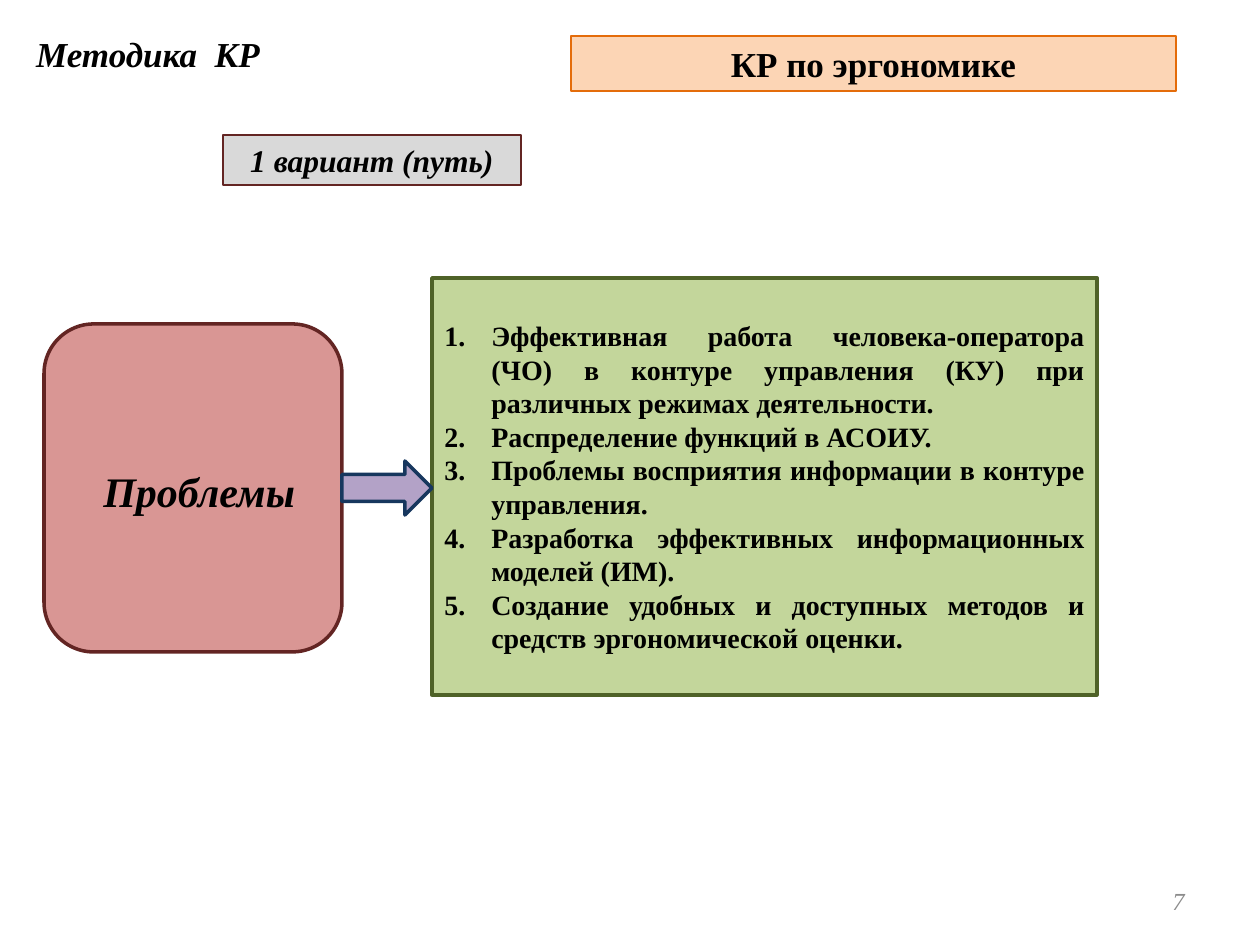
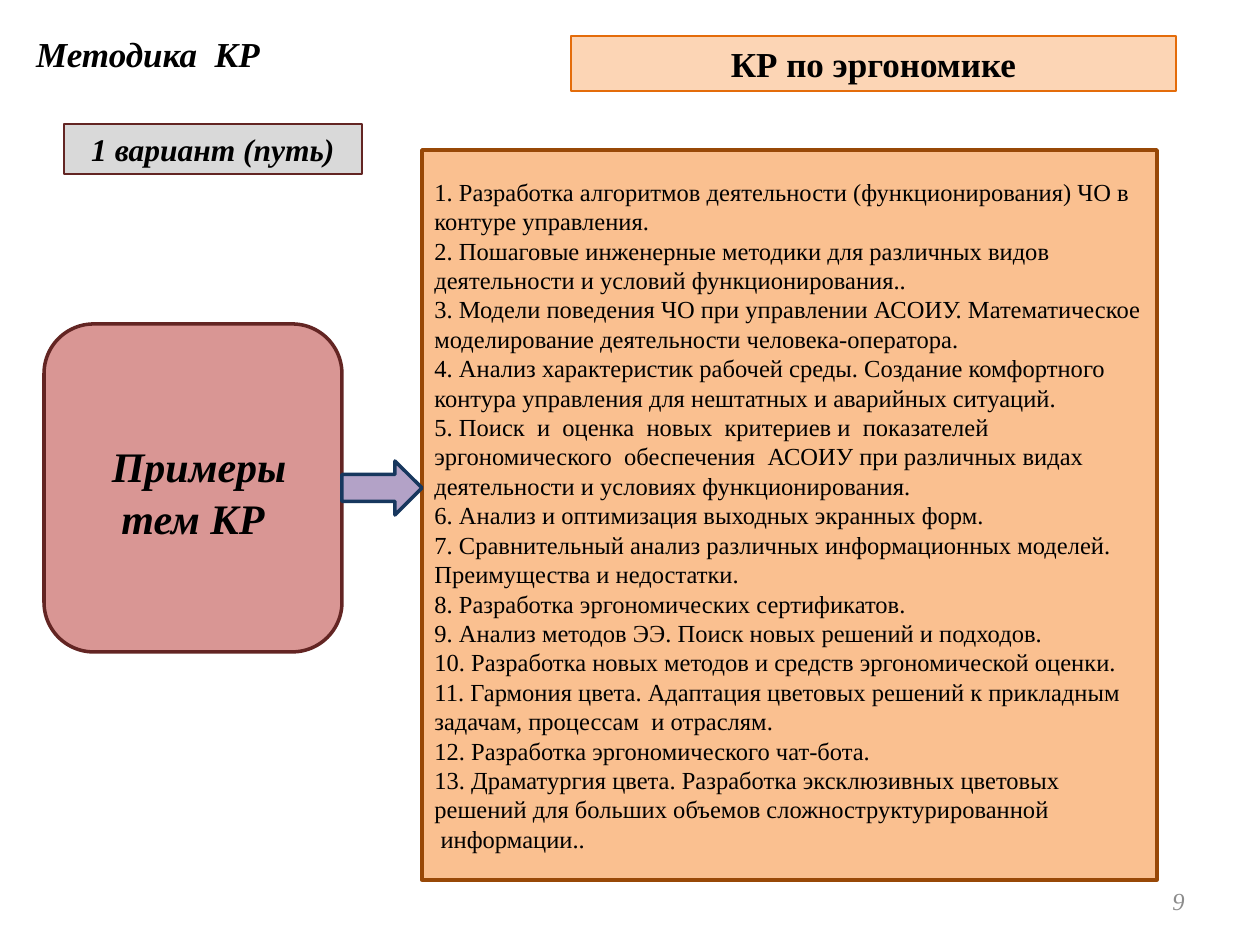
from pptx import Presentation
from pptx.dml.color import RGBColor
from pptx.enum.shapes import MSO_SHAPE as Shape
from pptx.enum.text import MSO_ANCHOR as Anchor, PP_ALIGN as Align
from pptx.util import Emu, Pt
from lxml.etree import SubElement
from pptx.oxml.ns import qn

# Content
HEADING = " Методика  КР"
BAND = "КР по эргономике"
VARIANT = "1 вариант (путь)"

PROBLEMS = [
    "Эффективная работа человека-оператора (ЧО) в контуре управления (КУ) при различных режимах деятельности.",
    "Распределение функций в АСОИУ.",
    "Проблемы восприятия информации в контуре управления.",
    "Разработка эффективных информационных моделей (ИМ).",
    "Создание удобных и доступных методов и средств эргономической оценки.",
]
TOPICS = [
    "1. Разработка алгоритмов деятельности (функционирования) ЧО в контуре управления.",
    "2. Пошаговые инженерные методики для различных видов деятельности и условий функционирования..",
    "3. Модели поведения ЧО при управлении АСОИУ. Математическое моделирование деятельности человека-оператора.",
    "4. Анализ характеристик рабочей среды. Создание комфортного  контура управления для нештатных и аварийных ситуаций.",
    "5. Поиск  и  оценка  новых  критериев и  показателей  эргономического  обеспечения  АСОИУ при различных видах деятельности и условиях функционирования.",
    "6. Анализ и оптимизация выходных экранных форм.",
    "7. Сравнительный анализ различных информационных моделей. Преимущества и недостатки.",
    "8. Разработка эргономических сертификатов.",
    "9. Анализ методов ЭЭ. Поиск новых решений и подходов.",
    "10. Разработка новых методов и средств эргономической оценки.",
    "11. Гармония цвета. Адаптация цветовых решений к прикладным задачам, процессам  и отраслям.",
    "12. Разработка эргономического чат-бота.",
    "13. Драматургия цвета. Разработка эксклюзивных цветовых решений для больших объемов сложноструктурированной",
    " информации..",
]
SLIDES = [
    dict(number="7", subject="Проблемы", variant_at=(223, 135), items=PROBLEMS,
         panel=(432, 278, 665, 417), colors=("green", "dark_green"),
         text=dict(size=16, bold=True, align=Align.JUSTIFY), numbered=True),
    dict(number="9", subject="Примеры тем КР", variant_at=(64, 124), items=TOPICS,
         panel=(422, 150, 735, 730), colors=("orange", "brown"),
         text=dict(size=14), numbered=False),
]

# Shared style
FONT = "Times New Roman"
COLORS = dict(
    black="000000", gray="8C8C8C", light_gray="D9D9D9", rose="D99694", maroon="632523",
    green="C3D69B", dark_green="4F6228", orange="FAC090", brown="984807",
    peach="FCD5B5", amber="E46C0A", violet="B3A2C7", navy="17375E",
)
SUBJECT_BOX = (44, 324, 298, 328)
ARROW_HEIGHT = 54
NUMBER_INDENT = 47


def px(length):
    return Emu(round(length * 914400 / 126))


def color(name):
    return RGBColor.from_string(COLORS[name])


def add_box(page, kind, place, fill, line, width):
    box = page.shapes.add_shape(kind, *map(px, place))
    box.shadow.inherit = False
    box.fill.solid()
    box.fill.fore_color.rgb = color(fill)
    box.line.color.rgb = color(line)
    box.line.width = Pt(width)
    return box


def add_label(page, place):
    return page.shapes.add_textbox(*map(px, place))


def add_span(para, text, size, bold=False, italic=False, ink="black"):
    span = para.add_run()
    span.text = text
    font = span.font
    font.name, font.size, font.bold, font.italic = FONT, Pt(size), bold, italic
    font.color.rgb = color(ink)


def write(box, lines, anchor=Anchor.TOP, align=Align.LEFT, **style):
    """Write one paragraph per line and return the paragraphs."""
    frame = box.text_frame
    frame.word_wrap = True
    frame.vertical_anchor = anchor
    for index, line in enumerate(lines):
        para = frame.add_paragraph() if index else frame.paragraphs[0]
        para.alignment = align
        add_span(para, line, **style)
    return frame.paragraphs


def number_paragraph(para):
    props = para._p.get_or_add_pPr()
    props.set("marL", str(px(NUMBER_INDENT)))
    props.set("indent", str(-px(NUMBER_INDENT)))
    SubElement(props, qn("a:buFont"), typeface="+mj-lt")
    SubElement(props, qn("a:buAutoNum"), type="arabicPeriod")


def add_page(deck, content):
    page = deck.slides.add_slide(deck.slide_layouts[6])

    # Page number
    write(add_label(page, (903, 876, 294, 50)), [content["number"]], Anchor.MIDDLE,
          Align.RIGHT, size=14, italic=True, ink="gray")

    # Subject on the left
    subject = add_box(page, Shape.ROUNDED_RECTANGLE, SUBJECT_BOX, "rose", "maroon", 2)
    para = write(subject, [" "], Anchor.MIDDLE, Align.CENTER,
                 size=28, bold=True, italic=True)[0]
    add_span(para, content["subject"], 24, bold=True, italic=True)

    # Panel with the list
    panel = add_box(page, Shape.RECTANGLE, content["panel"], *content["colors"], 2)
    paras = write(panel, content["items"], Anchor.MIDDLE, **content["text"])
    if content["numbered"]:
        for para in paras:
            number_paragraph(para)

    # Arrow from the subject to the panel
    left, top, width, height = SUBJECT_BOX
    start = left + width
    arrow_top = top + (height - ARROW_HEIGHT) // 2
    add_box(page, Shape.RIGHT_ARROW,
            (start, arrow_top, content["panel"][0] - start, ARROW_HEIGHT),
            "violet", "navy", 2)

    # Heading, band and variant tag
    write(add_label(page, (15, 26, 546, 55)), [HEADING], size=20, bold=True, italic=True)
    band = add_box(page, Shape.RECTANGLE, (571, 36, 605, 55), "peach", "amber", 0.75)
    write(band, [BAND], align=Align.CENTER, size=20, bold=True)
    tag = add_box(page, Shape.RECTANGLE, (*content["variant_at"], 298, 50),
                  "light_gray", "maroon", 1.5)
    write(tag, [VARIANT], align=Align.CENTER, size=18, bold=True, italic=True)


def main():
    deck = Presentation()
    deck.slide_width, deck.slide_height = px(1260), px(945)
    for content in SLIDES:
        add_page(deck, content)
    deck.save("out.pptx")


if __name__ == "__main__":
    main()
